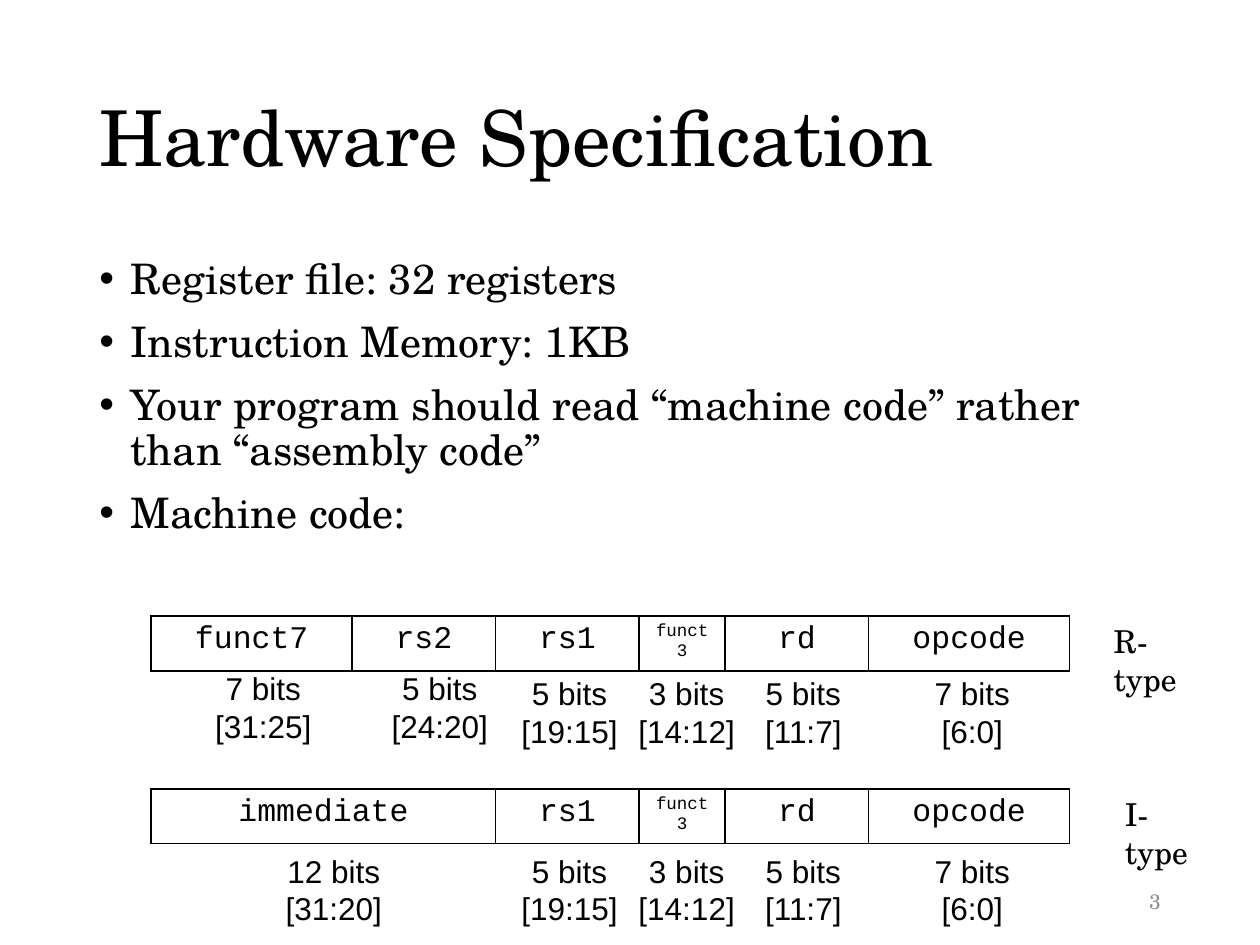
from lxml import etree
from pptx import Presentation
from pptx.dml.color import RGBColor
from pptx.enum.text import MSO_ANCHOR, PP_ALIGN
from pptx.oxml.ns import qn
from pptx.util import Inches, Pt

LEFT, CENTER, RIGHT = PP_ALIGN.LEFT, PP_ALIGN.CENTER, PP_ALIGN.RIGHT
TOP, MIDDLE = MSO_ANCHOR.TOP, MSO_ANCHOR.MIDDLE
WIDTH, HEIGHT = Inches(10), Inches(7.5)
SERIF, SANS, MONO = "TeX Gyre Schola", "Arial", "Courier New"
BLACK, GRAY = "000000", "8B8B8B"
WORD_BITS = 32
CAPTION_ROWS = 1.67

BULLETS = [
    "Register file: 32 registers",
    "Instruction Memory: 1KB",
    "Your program should read “machine code” rather than “assembly code”",
    "Machine code:",
]

SHARED_FIELDS = [
    ("rs1", 5, "[19:15]", 12.47, 4.21),
    ("funct3", 3, "[14:12]", 16.55, 4.21),
    ("rd", 5, "[11:7]", 20.94, 3.56),
    ("opcode", 7, "[6:0]", 26.87, 3.47),
]
R_FIELDS = [
    ("funct7", 7, "[31:25]", 1.8, 4.21),
    ("rs2", 5, "[24:20]", 7.95, 4.21),
] + SHARED_FIELDS
I_FIELDS = [("immediate", 12, "[31:20]", 4.26, 4.21)] + SHARED_FIELDS


def color(value):
    """Turn a hex string into a colour."""
    return RGBColor.from_string(value)


def share(left, top, width, height):
    """Return a box from percentages of the slide's size."""
    return (int(WIDTH * left / 100), int(HEIGHT * top / 100),
            int(WIDTH * width / 100), int(HEIGHT * height / 100))


def style(paragraph, size, font, fill=BLACK, align=LEFT):
    """Set the alignment and font of a paragraph."""
    paragraph.alignment = align
    paragraph.font.size = Pt(size)
    paragraph.font.name = font
    paragraph.font.color.rgb = color(fill)


def add_frame(slide, box, lines, anchor=TOP, margin=0.1):
    """Add a wrapping text box with one paragraph per line."""
    frame = slide.shapes.add_textbox(*box).text_frame
    frame.word_wrap = True
    frame.vertical_anchor = anchor
    frame.margin_left = frame.margin_right = Inches(margin)
    frame.text = "\n".join(lines)
    return frame


def add_title(slide, box):
    """Add the slide title."""
    frame = add_frame(slide, box, ["Hardware Specification"], MIDDLE)
    frame.paragraphs[0].line_spacing = 0.9
    style(frame.paragraphs[0], 44, SERIF)


def add_bullets(slide, box):
    """Add the bulleted list."""
    frame = add_frame(slide, box, BULLETS)
    for index, paragraph in enumerate(frame.paragraphs):
        properties = paragraph._p.get_or_add_pPr()
        properties.set("marL", str(Inches(0.25)))
        properties.set("indent", str(-Inches(0.25)))
        etree.SubElement(properties, qn("a:buFont")).set("typeface", SANS)
        etree.SubElement(properties, qn("a:buChar")).set("char", "•")
        paragraph.line_spacing = 0.9
        if index:
            paragraph.space_before = Pt(10)
        style(paragraph, 24, SERIF)


def add_borders(cell):
    """Draw a thin black line on every side of a table cell."""
    properties = cell._tc.get_or_add_tcPr()
    for index, side in enumerate(("a:lnL", "a:lnR", "a:lnT", "a:lnB")):
        line = etree.Element(qn(side), w=str(Pt(0.96)))
        fill = etree.SubElement(line, qn("a:solidFill"))
        etree.SubElement(fill, qn("a:srgbClr")).set("val", BLACK)
        properties.insert(index, line)


def add_caption(slide, box, lines):
    """Add a centred bit caption, with side margins that fit its range."""
    frame = add_frame(slide, box, lines, margin=0.05)
    for paragraph in frame.paragraphs:
        style(paragraph, 18, SANS, align=CENTER)


def add_format(slide, box, fields, caption_rows):
    """Add an instruction format table with its bit captions below."""
    left, top, width, height = box
    bit = width / WORD_BITS
    table = slide.shapes.add_table(1, len(fields), *box).table
    table.first_row = table.horz_banding = False
    for index, (name, bits, span, column, columns) in enumerate(fields):
        table.columns[index].width = int(bits * bit)
        cell = table.cell(0, index)
        cell.text = name
        style(cell.text_frame.paragraphs[0], 10 if name == "funct3" else 18,
              MONO, align=CENTER)
        cell.fill.background()
        add_borders(cell)
        caption_box = (int(left + column * bit),
                       int(top + caption_rows[index] * height),
                       int(columns * bit), int(CAPTION_ROWS * height))
        add_caption(slide, caption_box, [f"{bits} bits", span])


def add_type_label(slide, box, label):
    """Add the name of an instruction format."""
    style(add_frame(slide, box, [label]).paragraphs[0], 18, SERIF)


def add_page_number(slide, box):
    """Add the page number."""
    frame = add_frame(slide, box, ["3"], MIDDLE)
    style(frame.paragraphs[0], 12, SERIF, GRAY, RIGHT)


def main():
    """Build the slide and save it."""
    presentation = Presentation()
    presentation.slide_width, presentation.slide_height = WIDTH, HEIGHT
    slide = presentation.slides.add_slide(presentation.slide_layouts[6])
    add_title(slide, share(6.9, 5.33, 86.2, 19.33))
    add_bullets(slide, share(6.9, 26.67, 86.2, 63.47))
    add_format(slide, share(12, 65.2, 72.9, 5.6), R_FIELDS,
               [0.88] * 2 + [0.98] * 4)
    add_format(slide, share(12, 83.47, 72.9, 5.6), I_FIELDS, [1.07] * 5)
    add_page_number(slide, share(70.6, 92.67, 22.5, 5.33))
    add_type_label(slide, share(87.4, 65.2, 9.4, 5.33), "R-type")
    add_type_label(slide, share(88.3, 83.47, 8.6, 5.33), "I-type")
    presentation.save("out.pptx")


if __name__ == "__main__":
    main()
